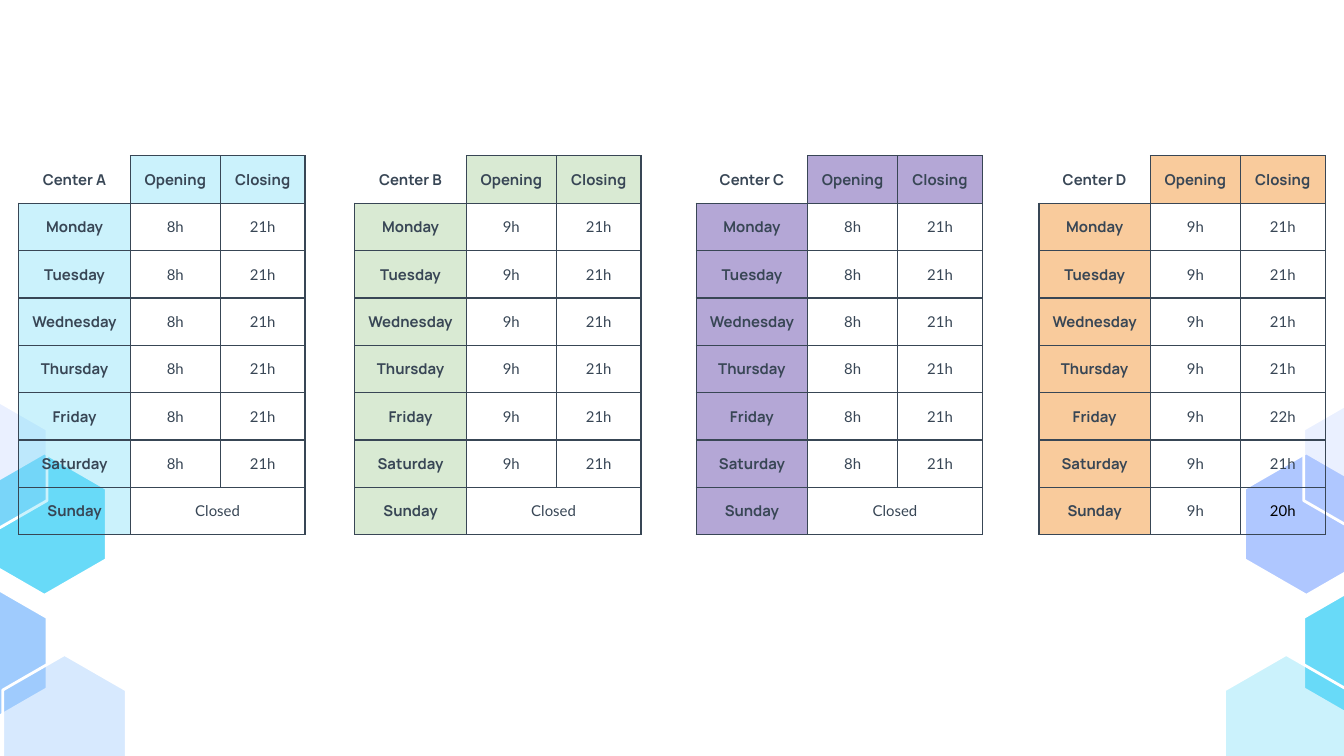
import dataclasses
import typing

import lxml.etree
import pptx
import pptx.dml.color
import pptx.enum.text
import pptx.oxml.ns
import pptx.util


@dataclasses.dataclass(frozen=True)
class Theme:
    ink: str = "384655"
    black: str = "000000"
    white: str = "FFFFFF"
    cyan: str = "68DAF8"
    periwinkle: str = "AFC7FF"
    sky: str = "9FCBFD"
    green: str = "D9EAD3"
    purple: str = "B4A7D6"
    orange: str = "F9CB9C"
    label_font: str = "Manrope"
    hour_font: str = "Lato"
    text_size: float = 8
    border_width: float = 0.75
    outline_width: float = 1.5


class Hexagon(typing.NamedTuple):
    center: float  # share of slide width, on the left side
    top: float  # inches
    left_fill: tuple[str, int]  # colour and opacity in percent
    right_fill: tuple[str, int]


class Center(typing.NamedTuple):
    name: str
    left: float  # share of slide width
    fill: tuple[str, int]
    hours: list[tuple[str, str]]  # Monday first; empty closing spans the row


THEME = Theme()
SLIDE_W = 10
SLIDE_H = SLIDE_W * 9 / 16
HEX_W, HEX_H = 0.92, 1.06
MIRROR = 1.005  # left and right hexagon centers add up to this share
TABLE_TOP = 1.16
COLUMNS = (0.83, 0.67, 0.63)
ROW_H = 0.34
INSET = 0.1
DAYS = ("Monday", "Tuesday", "Wednesday", "Thursday", "Friday", "Saturday", "Sunday")
CLOSED = ("Closed", "")

HEXAGONS = [
    Hexagon(0.033, 3.37, (THEME.cyan, 100), (THEME.periwinkle, 100)),
    Hexagon(-0.011, 2.93, (THEME.periwinkle, 25), (THEME.periwinkle, 25)),
    Hexagon(-0.011, 4.33, (THEME.sky, 100), (THEME.cyan, 100)),
    Hexagon(0.048, 4.87, (THEME.sky, 41), (THEME.cyan, 34)),
]
CENTERS = [
    Center("Center A", 0.014, (THEME.cyan, 34), [("8h", "21h")] * 6 + [CLOSED]),
    Center("Center B", 0.264, (THEME.green, 100), [("9h", "21h")] * 6 + [CLOSED]),
    Center("Center C", 0.518, (THEME.purple, 100), [("8h", "21h")] * 6 + [CLOSED]),
    Center("Center D", 0.773, (THEME.orange, 100),
           [("9h", "21h")] * 4 + [("9h", "22h"), ("9h", "21h"), ("9h", "20h")]),
]


def rgb(color: str) -> pptx.dml.color.RGBColor:
    return pptx.dml.color.RGBColor.from_string(color)


def set_fill(part, color: str, opacity: int) -> None:
    """Fill a shape or cell; opacity below 100 needs an alpha element."""
    part.fill.solid()
    part.fill.fore_color.rgb = rgb(color)
    if opacity < 100:
        element = part._element if hasattr(part, "shape_type") else part._tc
        swatch = next(element.iter(pptx.oxml.ns.qn("a:srgbClr")))
        lxml.etree.SubElement(swatch, pptx.oxml.ns.qn("a:alpha"), val=str(opacity * 1000))


def set_borders(cell, sides: str) -> None:
    """Rule the given sides (of L, R, T, B) and clear the others."""
    qn = pptx.oxml.ns.qn
    properties = cell._tc.get_or_add_tcPr()
    for index, side in enumerate("LRTB"):
        border = lxml.etree.Element(
            qn(f"a:ln{side}"), w=str(pptx.util.Pt(THEME.border_width)))
        if side in sides:
            solid = lxml.etree.SubElement(border, qn("a:solidFill"))
            lxml.etree.SubElement(solid, qn("a:srgbClr"), val=THEME.ink)
        else:
            lxml.etree.SubElement(border, qn("a:noFill"))
        properties.insert(index, border)


def write(frame, text: str, *, font: str, bold: bool = False,
          color: str = THEME.ink, size: float = THEME.text_size) -> None:
    paragraph = frame.paragraphs[0]
    paragraph.alignment = pptx.enum.text.PP_ALIGN.CENTER
    run = paragraph.add_run()
    run.text = text
    run.font.name = font
    run.font.size = pptx.util.Pt(size)
    run.font.bold = bold
    run.font.color.rgb = rgb(color)


def draw_hexagon(slide, center: float, top: float, fill: tuple[str, int]) -> None:
    middle = center * SLIDE_W
    left, right = middle - HEX_W / 2, middle + HEX_W / 2
    upper, lower = top + HEX_H / 4, top + HEX_H * 3 / 4
    corners = [(middle, top), (right, upper), (right, lower),
               (middle, top + HEX_H), (left, lower), (left, upper)]
    start, *others = [(pptx.util.Inches(x), pptx.util.Inches(y)) for x, y in corners]
    outline = slide.shapes.build_freeform(*start)
    outline.add_line_segments(others, close=True)
    hexagon = outline.convert_to_shape()
    hexagon.shadow.inherit = False
    set_fill(hexagon, *fill)
    hexagon.line.color.rgb = rgb(THEME.white)
    hexagon.line.width = pptx.util.Pt(THEME.outline_width)


def draw_timetable(slide, center: Center) -> None:
    rows = [(center.name, "Opening", "Closing")]
    rows += [(day, *hours) for day, hours in zip(DAYS, center.hours)]
    inches = pptx.util.Inches
    table = slide.shapes.add_table(
        len(rows), len(COLUMNS), inches(center.left * SLIDE_W), inches(TABLE_TOP),
        inches(sum(COLUMNS)), inches(ROW_H * len(rows))).table
    table.first_row = table.horz_banding = False
    for column, width in zip(table.columns, COLUMNS):
        column.width = inches(width)
    for r, row in enumerate(rows):
        table.rows[r].height = inches(ROW_H)
        for c, text in enumerate(row):
            cell = table.cell(r, c)
            corner = r == c == 0
            heading = r == 0 or c == 0
            cell.vertical_anchor = pptx.enum.text.MSO_ANCHOR.MIDDLE
            cell.margin_left = cell.margin_right = inches(INSET)
            cell.margin_top = cell.margin_bottom = inches(INSET)
            if heading and not corner:
                set_fill(cell, *center.fill)
            else:
                cell.fill.background()
            set_borders(cell, "RB" if corner else "LRTB")
            if text:
                write(cell.text_frame, text, bold=heading,
                      font=THEME.label_font if heading else THEME.hour_font,
                      color=THEME.black if text == "20h" else THEME.ink)
        if not row[-1]:
            table.cell(r, 1).merge(table.cell(r, 2))


def main() -> None:
    deck = pptx.Presentation()
    deck.slide_width = pptx.util.Inches(SLIDE_W)
    deck.slide_height = pptx.util.Inches(SLIDE_H)
    slide = deck.slides.add_slide(deck.slide_layouts[6])

    # Hexagon clusters in the lower corners
    for hexagon in HEXAGONS:
        draw_hexagon(slide, hexagon.center, hexagon.top, hexagon.left_fill)
    for hexagon in HEXAGONS:
        draw_hexagon(slide, MIRROR - hexagon.center, hexagon.top, hexagon.right_fill)

    # Opening hours of each center
    for center in CENTERS:
        draw_timetable(slide, center)

    deck.save("out.pptx")


if __name__ == "__main__":
    main()
